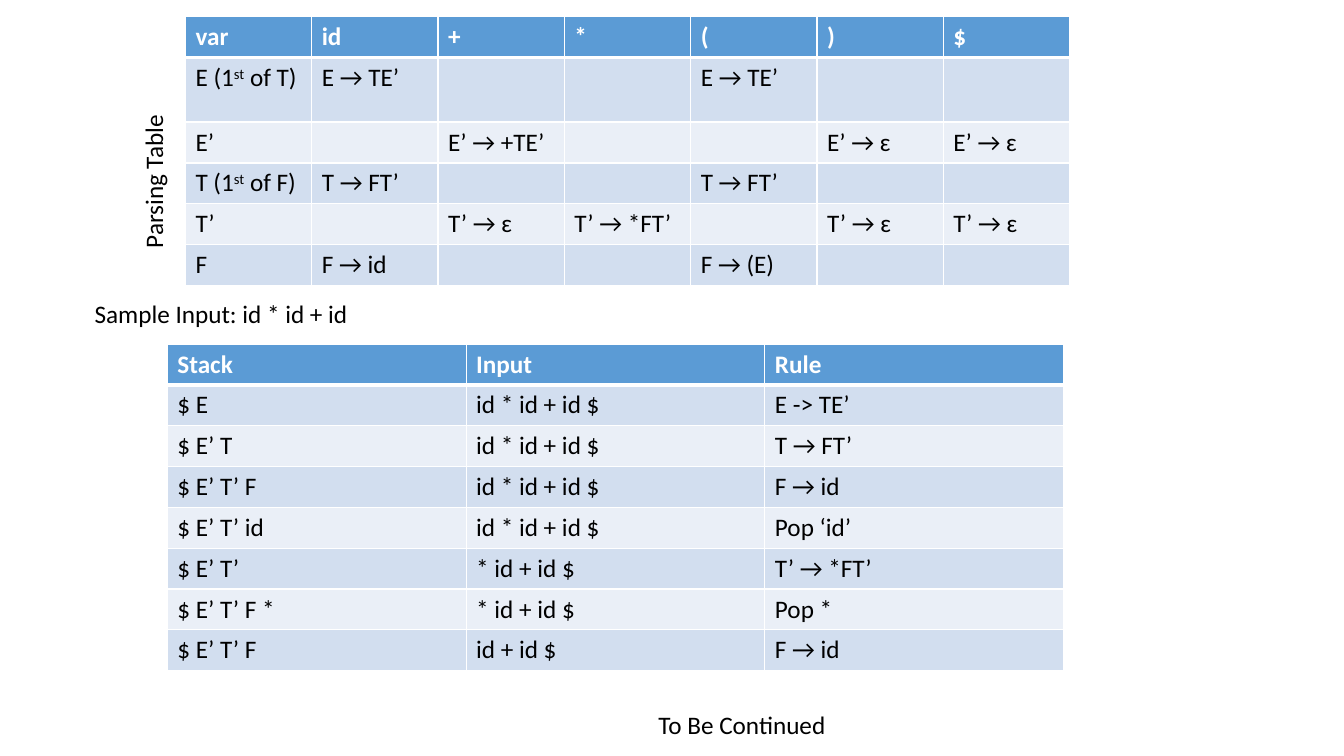
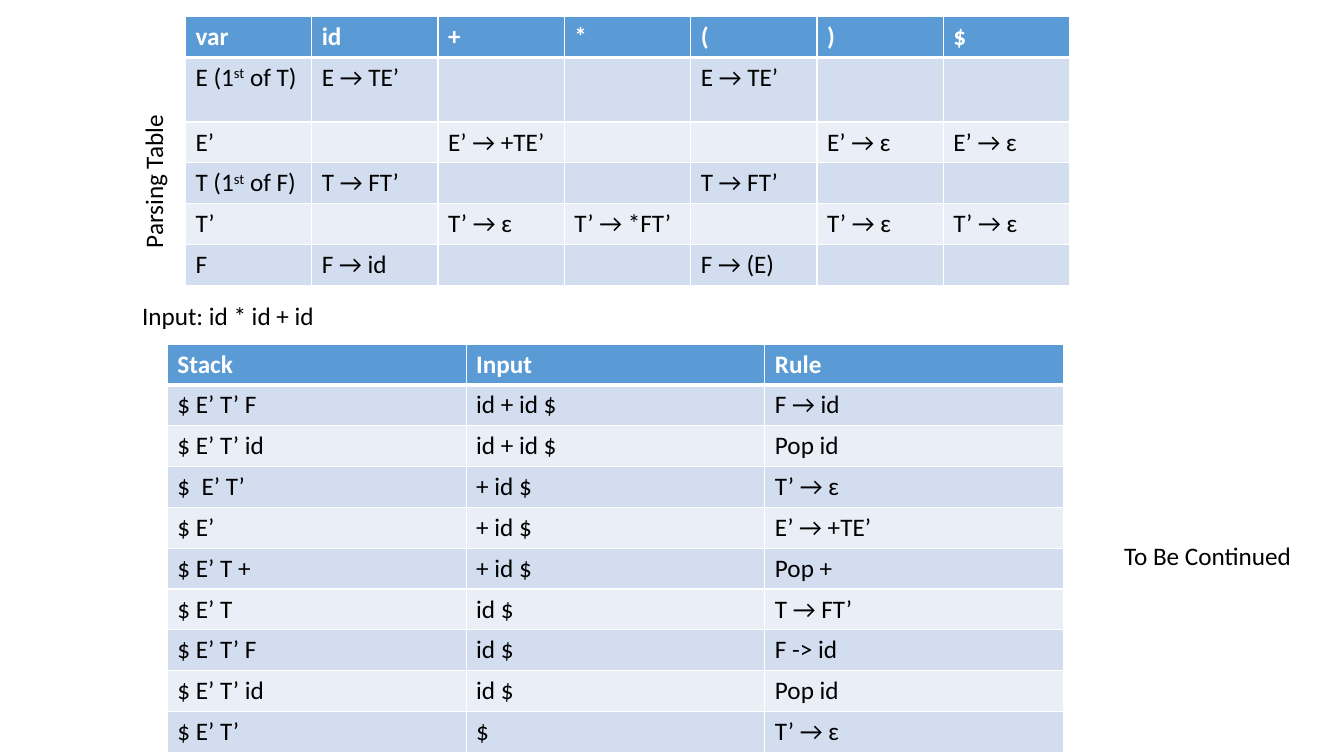
from dataclasses import dataclass
from typing import NamedTuple

from lxml.etree import SubElement
from pptx import Presentation
from pptx.dml.color import RGBColor as Rgb
from pptx.enum.text import MSO_AUTO_SIZE as Fit
from pptx.oxml.ns import qn
from pptx.slide import Slide
from pptx.table import _Cell as Cell
from pptx.text.text import _Paragraph as Para
from pptx.util import Inches, Pt


@dataclass(frozen=True)
class Theme:
    """Colours, font and sizes shared by both slides."""
    head: str = "5B9BD5"
    bands: tuple[str, str] = ("D2DEEF", "EAEFF7")
    white: str = "FFFFFF"
    ink: str = "000000"
    font: str = "Calibri"
    size: int = 18
    thin: int = 1
    thick: int = 3


class Box(NamedTuple):
    """A frame in percent of the slide's width and height."""
    left: float
    top: float
    wide: float
    high: float = 5.4


class Label(NamedTuple):
    """A single line of text, its frame and its turn in degrees."""
    text: str
    box: Box
    turn: int = 0


class Grid(NamedTuple):
    """A table: rows of cells parted by bars, with taller rows by index."""
    rows: tuple[str, ...]
    box: Box
    tall: dict[int, float]


class Page(NamedTuple):
    """What differs from one slide to the next."""
    input: Label
    steps: tuple[str, ...]
    more: Label


THEME = Theme()
WIDE, HIGH = Inches(13.33), Inches(7.5)
ROW = int(HIGH / 18.5)

# Carets enclose superscript text.
RULES = Grid((
    "var|id|+|*|(|)|$",
    "E (1^st^ of T)|E → TE’|||E → TE’||",
    "E’||E’ → +TE’|||E’ → ɛ|E’ → ɛ",
    "T (1^st^ of F)|T → FT’|||T → FT’||",
    "T’||T’ → ɛ|T’ → *FT’||T’ → ɛ|T’ → ɛ",
    "F|F → id|||F → (E)||",
), Box(13.8, 2.2, 65.8), {1: 1.58})
SIDE = Label("Parsing Table", Box(5.63, 21.2, 11.55), 270)
TRACE = Box(12.45, 45.5, 66.7)
HEAD = "Stack|Input|Rule"

PAGES = (
    Page(
        Label("Sample Input: id * id + id", Box(6.3, 38.8, 20.6)),
        (
            "$ E|id * id + id $|E -> TE’",
            "$ E’ T|id * id + id $|T → FT’",
            "$ E’ T’ F|id * id + id $|F → id",
            "$ E’ T’ id|id * id + id $|Pop ‘id’",
            "$ E’ T’|* id + id $|T’ → *FT’",
            "$ E’ T’ F *|* id + id $|Pop *",
            "$ E’ T’ F|id + id $|F → id",
        ),
        Label("To Be Continued", Box(48.25, 93.2, 14.1)),
    ),
    Page(
        Label("Input: id * id + id", Box(9.83, 39.1, 14.5)),
        (
            "$ E’ T’ F|id + id $|F → id",
            "$ E’ T’ id|id + id $|Pop id",
            "$  E’ T’|+ id $|T’ → ɛ",
            "$ E’|+ id $|E’ → +TE’",
            "$ E’ T +|+ id $|Pop +",
            "$ E’ T|id $|T → FT’",
            "$ E’ T’ F|id $|F -> id",
            "$ E’ T’ id|id $|Pop id",
            "$ E’ T’|$|T’ → ɛ",
        ),
        Label("To Be Continued", Box(82.9, 70.8, 14.1)),
    ),
)


def place(box: Box) -> tuple[int, int, int, int]:
    """Turn a frame in percent into lengths."""
    return (int(WIDE * box.left / 100), int(HIGH * box.top / 100),
            int(WIDE * box.wide / 100), int(HIGH * box.high / 100))


def write(para: Para, text: str, ink: str, bold: bool = False) -> None:
    """Add text run by run, raising the parts between carets."""
    for i, part in enumerate(text.split("^")):
        if not part:
            continue
        run = para.add_run()
        run.text = part
        font = run.font
        font.name, font.size, font.bold = THEME.font, Pt(THEME.size), bold
        font.color.rgb = Rgb.from_string(ink)
        if i % 2:
            run._r.get_or_add_rPr().set("baseline", "30000")


def edge(cell: Cell, side: str, width: int) -> None:
    """Rule one side of a cell in white."""
    line = SubElement(cell._tc.get_or_add_tcPr(), qn(f"a:ln{side}"),
                      w=str(Pt(width)))
    fill = SubElement(line, qn("a:solidFill"))
    SubElement(fill, qn("a:srgbClr"), val=THEME.white)


def style(cell: Cell, row: int) -> None:
    """Give a cell its borders and its header or band fill."""
    heavy = {(0, "B"), (1, "T")}
    for side in "LRTB":
        edge(cell, side, THEME.thick if (row, side) in heavy else THEME.thin)
    cell.fill.solid()
    tint = THEME.bands[(row - 1) % 2] if row else THEME.head
    cell.fill.fore_color.rgb = Rgb.from_string(tint)


def draw_grid(slide: Slide, grid: Grid) -> None:
    """Draw a banded table with equal columns."""
    cells = [row.split("|") for row in grid.rows]
    count = len(cells[0])
    left, top, wide, _ = place(grid.box)
    table = slide.shapes.add_table(len(cells), count, left, top, wide,
                                   ROW * len(cells)).table
    for col in table.columns:
        col.width = wide // count
    for r, texts in enumerate(cells):
        table.rows[r].height = int(ROW * grid.tall.get(r, 1))
        for c, text in enumerate(texts):
            cell = table.cell(r, c)
            style(cell, r)
            write(cell.text_frame.paragraphs[0], text,
                  THEME.ink if r else THEME.white, bold=r == 0)


def draw_label(slide: Slide, label: Label) -> None:
    """Draw one line of text that does not wrap."""
    shape = slide.shapes.add_textbox(*place(label.box))
    shape.rotation = label.turn
    frame = shape.text_frame
    frame.word_wrap = False
    frame.auto_size = Fit.SHAPE_TO_FIT_TEXT
    write(frame.paragraphs[0], label.text, THEME.ink)


def main() -> None:
    """Build both slides and save them."""
    deck = Presentation()
    deck.slide_width, deck.slide_height = WIDE, HIGH
    blank = deck.slide_layouts.get_by_name("Blank")
    for page in PAGES:
        slide = deck.slides.add_slide(blank)
        draw_grid(slide, RULES)
        draw_label(slide, SIDE)
        draw_label(slide, page.input)
        draw_grid(slide, Grid((HEAD, *page.steps), TRACE, {}))
        draw_label(slide, page.more)
    deck.save("out.pptx")


main()
